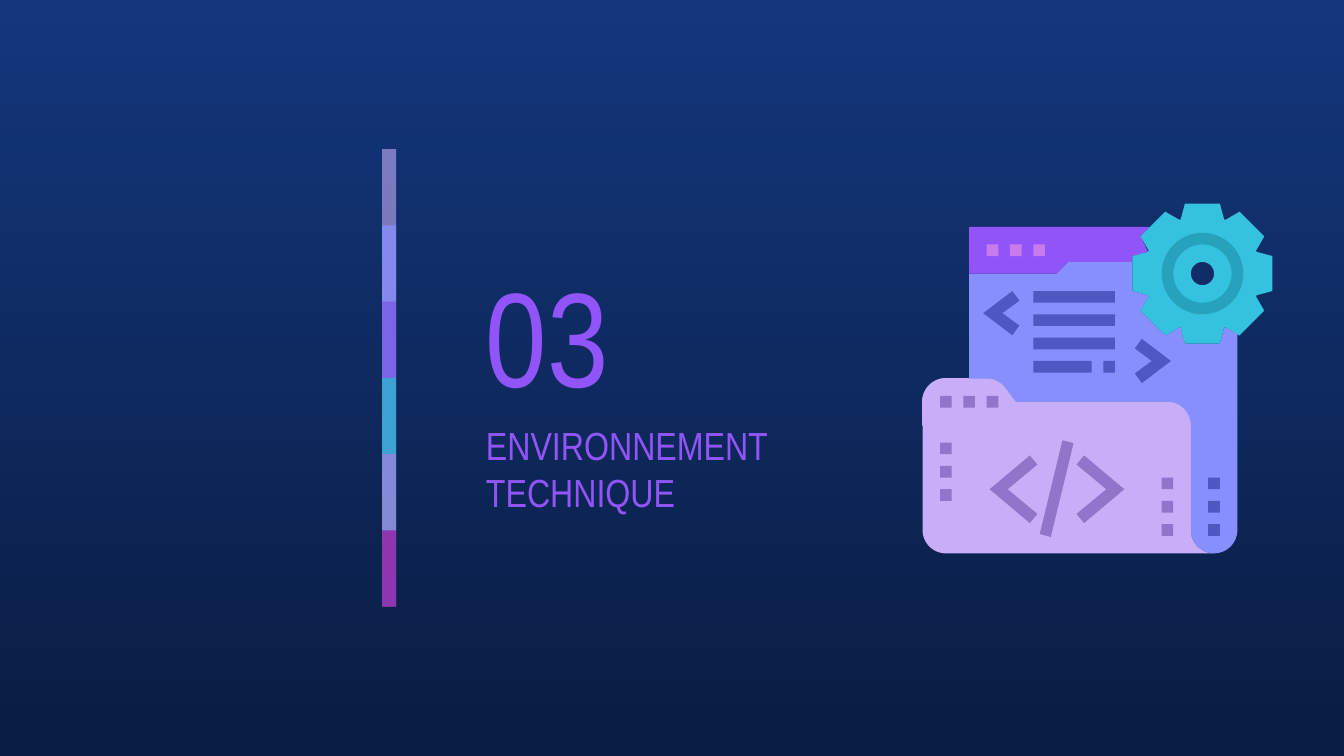
"""Build the section slide 03 with its striped divider and code folder illustration."""
from dataclasses import dataclass
from math import cos, radians, sin
from typing import NamedTuple

from pptx import Presentation, util as u
from pptx.dml.color import RGBColor
from pptx.enum import shapes, text
from pptx.oxml import ns, xmlchemy

NIGHT_TOP = RGBColor(0x13, 0x36, 0x7C)
NIGHT_BOTTOM = RGBColor(0x0A, 0x1D, 0x42)
LILAC = RGBColor(0xC8, 0xAE, 0xF8)
PERIWINKLE = RGBColor(0x87, 0x8F, 0xFF)
VIOLET = RGBColor(0x91, 0x54, 0xF8)
TURQUOISE = RGBColor(0x35, 0xC2, 0xDF)
TEAL = RGBColor(0x26, 0xA2, 0xBC)
ORCHID = RGBColor(0xCA, 0x7B, 0xEB)
MAGENTA = RGBColor(0x97, 0x2C, 0xB4)
MAUVE = RGBColor(0x92, 0x75, 0xC8)
INDIGO = RGBColor(0x4F, 0x57, 0xC3)

FONT = "Arial Narrow"
SLIDE_W, SLIDE_H = u.Inches(13.33), u.Inches(7.5)
ICON_LEFT, ICON_TOP = u.Inches(9.15), u.Inches(2.02)
UNIT = u.Inches(3.47) / 30
PRECISION = 1000

Point = tuple[float, float]
GEAR_CENTRE = (24, 6)
GEAR_TOOTH = [(-1.86, -4.65), (-1.5, -6), (1.5, -6), (1.86, -4.65)]


class Band(NamedTuple):
    colour: RGBColor
    opacity: int
    rows: int = 2


class Heading(NamedTuple):
    wording: str
    size: int
    top: float
    width: float
    height: float


class Block(NamedTuple):
    column: float
    row: float
    colour: RGBColor
    width: float = 1
    height: float = 1


@dataclass(frozen=True)
class Chevron:
    """Angle bracket whose direction is 1 when it opens to the right."""
    tip: Point
    direction: int
    outer: Point
    end: Point
    inner: float
    colour: RGBColor

    def outline(self) -> list[Point]:
        x, y = self.tip
        offsets = [(0, 0), self.outer, self.end, (self.inner, 0),
                   (self.end[0], -self.end[1]), (self.outer[0], -self.outer[1])]
        return [(x + self.direction * dx, y + dy) for dx, dy in offsets]


BANDS = [Band(LILAC, 59), Band(PERIWINKLE, 74), Band(VIOLET, 53),
         Band(TURQUOISE, 76), Band(ORCHID, 56), Band(MAGENTA, 74, 1)]
HEADINGS = [Heading("03", 96, 2.41, 2.33, 1.8),
            Heading("ENVIRONNEMENT TECHNIQUE", 28, 4.2, 3.82, 0.89)]
BLOCKS = (
    [Block(column, 3.5, ORCHID) for column in (5.5, 7.5, 9.5)]
    + [Block(column, 16.5, MAUVE) for column in (1.5, 3.5, 5.5)]
    + [Block(9.5, row, INDIGO, 7) for row in (7.5, 9.5, 11.5)]
    + [Block(9.5, 13.5, INDIGO, 5), Block(15.5, 13.5, INDIGO)]
    + [Block(column, first + 2 * step, colour)
       for column, first, colour in ((1.5, 20.5, MAUVE), (20.5, 23.5, MAUVE), (24.5, 23.5, INDIGO))
       for step in range(3)]
)
CHEVRONS = [
    Chevron((5.2, 9.4), 1, (2.5, 1.9), (3.1, 1.07), 1.65, INDIGO),
    Chevron((21.3, 13.5), -1, (2.5, 1.9), (3.1, 1.07), 1.65, INDIGO),
    Chevron((5.75, 24.5), 1, (3.45, 2.9), (4.1, 2.12), 1.55, MAUVE),
    Chevron((17.3, 24.5), -1, (3.45, 2.9), (4.1, 2.12), 1.55, MAUVE),
]


def arc(centre: Point, radius: float, start: float, end: float, steps: int = 16) -> list[Point]:
    angles = [radians(start + (end - start) * step / steps) for step in range(steps + 1)]
    return [(centre[0] + radius * cos(a), centre[1] + radius * sin(a)) for a in angles]


def gear_outline() -> list[Point]:
    x, y = GEAR_CENTRE
    turns = [radians(45 * tooth) for tooth in range(8)]
    return [(x + dx * cos(a) - dy * sin(a), y + dx * sin(a) + dy * cos(a))
            for a in turns for dx, dy in GEAR_TOOTH]


def paint(shape, colour: RGBColor) -> None:
    shape.shadow.inherit = False
    shape.fill.solid()
    shape.fill.fore_color.rgb = colour
    shape.line.fill.background()


def draw_outline(group, colour: RGBColor, *contours: list[Point]):
    scaled = [[(x * PRECISION, y * PRECISION) for x, y in contour] for contour in contours]
    builder = group.shapes.build_freeform(*scaled[0][0], scale=UNIT / PRECISION)
    builder.add_line_segments(scaled[0][1:], close=True)
    for contour in scaled[1:]:
        builder.move_to(*contour[0])
        builder.add_line_segments(contour[1:], close=True)
    shape = builder.convert_to_shape(ICON_LEFT, ICON_TOP)
    paint(shape, colour)
    return shape


def draw_block(group, block: Block, kind=shapes.MSO_SHAPE.RECTANGLE):
    shape = group.shapes.add_shape(
        kind, round(ICON_LEFT + block.column * UNIT), round(ICON_TOP + block.row * UNIT),
        round(block.width * UNIT), round(block.height * UNIT))
    paint(shape, block.colour)
    return shape


def draw_ring(group, radius: float, hole: float, colour: RGBColor) -> None:
    x, y = GEAR_CENTRE
    ring = draw_block(group, Block(x - radius, y - radius, colour, 2 * radius, 2 * radius),
                      shapes.MSO_SHAPE.DONUT)
    ring.adjustments[0] = (radius - hole) / (2 * radius)


def draw_divider(slide) -> None:
    group = slide.shapes.add_group_shape()
    pitch = u.Inches(4.54) / len(BANDS)
    for index, band in enumerate(BANDS):
        stripe = group.shapes.add_shape(
            shapes.MSO_SHAPE.RECTANGLE, u.Inches(3.79), round(u.Inches(1.48) + index * pitch),
            u.Inches(0.14), round(band.rows * pitch))
        paint(stripe, band.colour)
        tint = stripe.element.spPr.find(".//" + ns.qn("a:srgbClr"))
        alpha = xmlchemy.OxmlElement("a:alpha")
        alpha.set("val", str(band.opacity * 1000))
        tint.append(alpha)


def draw_heading(slide, heading: Heading) -> None:
    box = slide.shapes.add_textbox(u.Inches(4.69), u.Inches(heading.top),
                                   u.Inches(heading.width), u.Inches(heading.height))
    frame = box.text_frame
    frame.word_wrap = True
    frame.vertical_anchor = text.MSO_ANCHOR.MIDDLE
    frame.margin_left = frame.margin_right = u.Inches(0.13)
    frame.margin_top = frame.margin_bottom = u.Inches(0.13)
    frame.text = heading.wording
    font = frame.paragraphs[0].runs[0].font
    font.name, font.size, font.color.rgb = FONT, u.Pt(heading.size), VIOLET


def draw_illustration(slide) -> None:
    group = slide.shapes.add_group_shape()
    tab_corner = arc((5.5, 17), 2, -90, -37)
    folder_corner = arc((21, 19), 2, -90, 0)
    folder_rim = [*tab_corner, (8, 17), *folder_corner]
    gear = gear_outline()
    gear_edge = gear[14:26]

    draw_outline(group, LILAC, [(0, 19), *arc((2, 28), 2, 180, 90),
                                *arc((25, 28), 2, 90, 180), (23, 19)])
    flap = draw_outline(group, LILAC, [(0, 19), *arc((2, 17), 2, 180, 270), *folder_rim])
    flap.line.color.rgb, flap.line.width = LILAC, u.Pt(0.75)
    draw_outline(group, PERIWINKLE, [(12.5, 5), (11.5, 6), (4, 6), (4, 15), *folder_rim,
                                     *arc((25, 28), 2, 180, 0), (27, 11.25),
                                     *gear_edge, (18, 5)])
    draw_outline(group, VIOLET, [(4, 2), (4, 6), (11.5, 6), (12.5, 5), (18, 5),
                                 (18, 4.5), (19.35, 4.15), (18.7, 2.8), (19.5, 2)])
    draw_outline(group, TURQUOISE, gear, arc(GEAR_CENTRE, 3, 360, 0, 48))
    draw_ring(group, 3, 1, TURQUOISE)
    draw_ring(group, 3.5, 2.5, TEAL)
    for block in BLOCKS:
        draw_block(group, block)
    for chevron in CHEVRONS:
        draw_outline(group, chevron.colour, chevron.outline())
    draw_outline(group, MAUVE, [(12, 20.3), (10.05, 28.35), (11, 28.6), (12.95, 20.55)])


def main() -> None:
    deck = Presentation()
    deck.slide_width, deck.slide_height = SLIDE_W, SLIDE_H
    slide = deck.slides.add_slide(deck.slide_layouts[6])
    night = slide.background.fill
    night.gradient()
    night.gradient_angle = 270
    for stop, colour in zip(night.gradient_stops, (NIGHT_TOP, NIGHT_BOTTOM)):
        stop.color.rgb = colour
    draw_divider(slide)
    for heading in HEADINGS:
        draw_heading(slide, heading)
    draw_illustration(slide)
    deck.save("out.pptx")


main()
